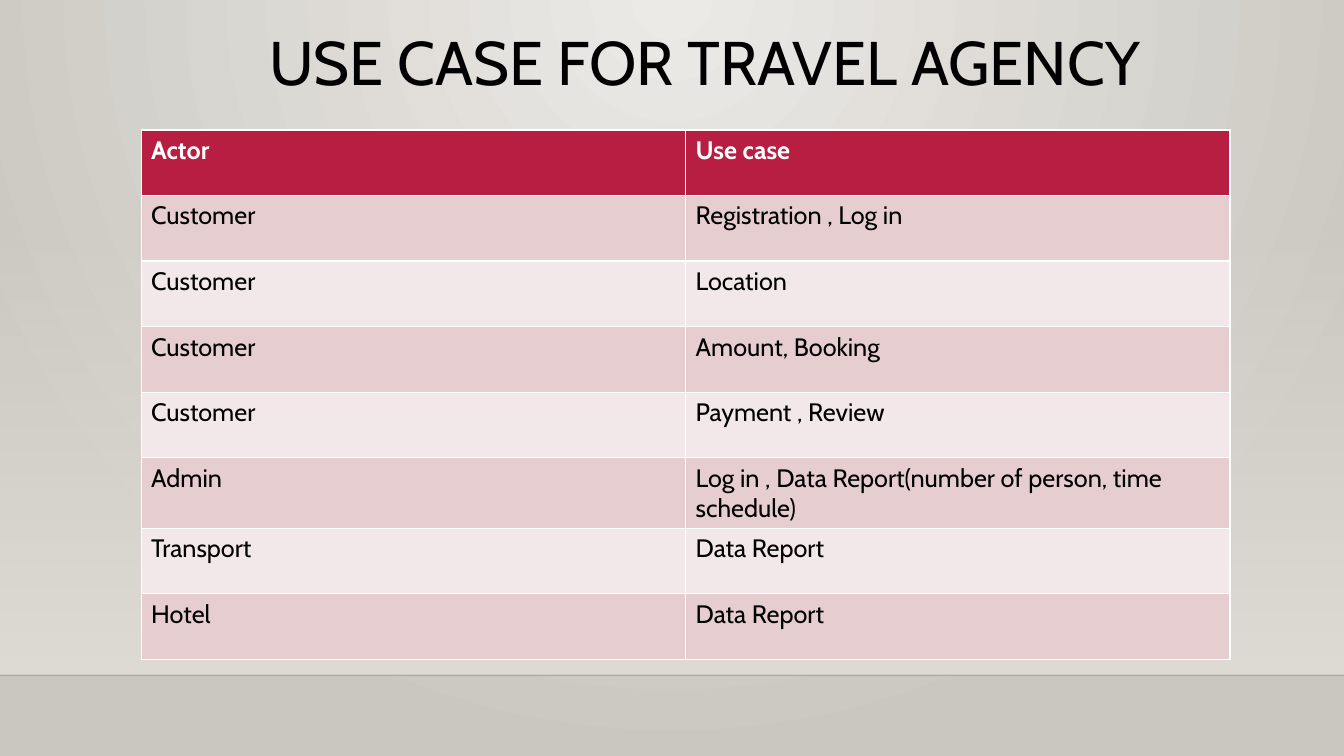
"""Build the travel agency use case slide."""
from lxml import etree
from pptx import Presentation
from pptx import util as u
from pptx.dml.color import RGBColor
from pptx.enum import shapes, text
from pptx.oxml.ns import qn

TITLE = "USE CASE FOR TRAVEL AGENCY"
USE_CASES = [
    ("Actor", "Use case"),
    ("Customer", "Registration , Log in"),
    ("Customer", "Location"),
    ("Customer", "Amount, Booking"),
    ("Customer", "Payment , Review"),
    ("Admin", "Log in , Data Report(number of person, time schedule)"),
    ("Transport", "Data Report"),
    ("Hotel", "Data Report"),
]
FONT = "Cabin"
BLACK = RGBColor(0x00, 0x00, 0x00)
WHITE = RGBColor(0xFF, 0xFF, 0xFF)
CRIMSON = RGBColor(0xB7, 0x1E, 0x42)
BANDS = [RGBColor(0xF3, 0xE8, 0xE9), RGBColor(0xE6, 0xCD, 0xCF)]
GLOW = RGBColor(0xEC, 0xEA, 0xE7)
STONE = RGBColor(0xCA, 0xC7, 0xC1)
WALL = RGBColor(0xDF, 0xDB, 0xD5)

WIDTH, HEIGHT = u.Inches(13.33), u.Inches(7.5)
WALL_TOP, FLOOR = u.Inches(2.21), u.Inches(6.7)
TABLE_LEFT, TABLE_TOP = u.Inches(1.4), u.Inches(1.29)
COLUMN, ROW = u.Inches(5.4), u.Inches(0.65)


def style(paragraph, size, color, bold=False):
    for run in paragraph.runs:
        run.font.name = FONT
        run.font.size = u.Pt(size)
        run.font.bold = bold
        run.font.color.rgb = color


def set_gradient(fill, *colors):
    fill.gradient()
    for stop, color in zip(fill.gradient_stops, colors):
        stop.color.rgb = color


def set_opacity(element, percent):
    color = next(element.iter(qn("a:srgbClr")))
    etree.SubElement(color, qn("a:alpha"), val=str(percent * 1000))


def add_background(slide):
    set_gradient(slide.background.fill, GLOW, STONE)
    gradient = next(slide.element.iter(qn("a:gradFill")))
    gradient.remove(gradient.find(qn("a:lin")))
    circle = etree.SubElement(gradient, qn("a:path"), path="circle")
    etree.SubElement(circle, qn("a:fillToRect"), l="43000", t="0", r="43000", b="100000")

    wall = slide.shapes.add_shape(
        shapes.MSO_SHAPE.RECTANGLE, 0, WALL_TOP, WIDTH, FLOOR - WALL_TOP)
    wall.shadow.inherit = False
    wall.line.fill.background()
    set_gradient(wall.fill, WALL, WALL)
    wall.fill.gradient_angle = 270
    set_opacity(wall.element.spPr, 0)

    edge = slide.shapes.add_connector(shapes.MSO_CONNECTOR.STRAIGHT, 0, FLOOR, WIDTH, FLOOR)
    edge.line.width = u.Pt(1)
    edge.line.color.rgb = BLACK
    set_opacity(edge.element.spPr, 20)
    etree.SubElement(edge.element.spPr, qn("a:effectLst"))


def add_title(slide):
    frame = slide.shapes.add_textbox(
        u.Inches(2.57), u.Inches(0.15), u.Inches(10.15), u.Inches(0.83)).text_frame
    frame.word_wrap = True
    frame.vertical_anchor = text.MSO_ANCHOR.BOTTOM
    frame.margin_bottom = 0
    frame.text = TITLE
    heading = frame.paragraphs[0]
    heading.line_spacing = 0.9
    style(heading, 44, BLACK)


def add_use_cases(slide):
    rows, columns = len(USE_CASES), len(USE_CASES[0])
    table = slide.shapes.add_table(
        rows, columns, TABLE_LEFT, TABLE_TOP, columns * COLUMN, rows * ROW).table
    for r, entries in enumerate(USE_CASES):
        header = r == 0
        for c, entry in enumerate(entries):
            cell = table.cell(r, c)
            cell.fill.solid()
            cell.fill.fore_color.rgb = CRIMSON if header else BANDS[r % 2]
            cell.text_frame.text = entry
            style(cell.text_frame.paragraphs[0], 18, WHITE if header else BLACK, header)


def main():
    deck = Presentation()
    deck.slide_width, deck.slide_height = WIDTH, HEIGHT
    slide = deck.slides.add_slide(deck.slide_layouts[6])
    add_background(slide)
    add_title(slide)
    add_use_cases(slide)
    deck.save("out.pptx")


if __name__ == "__main__":
    main()
